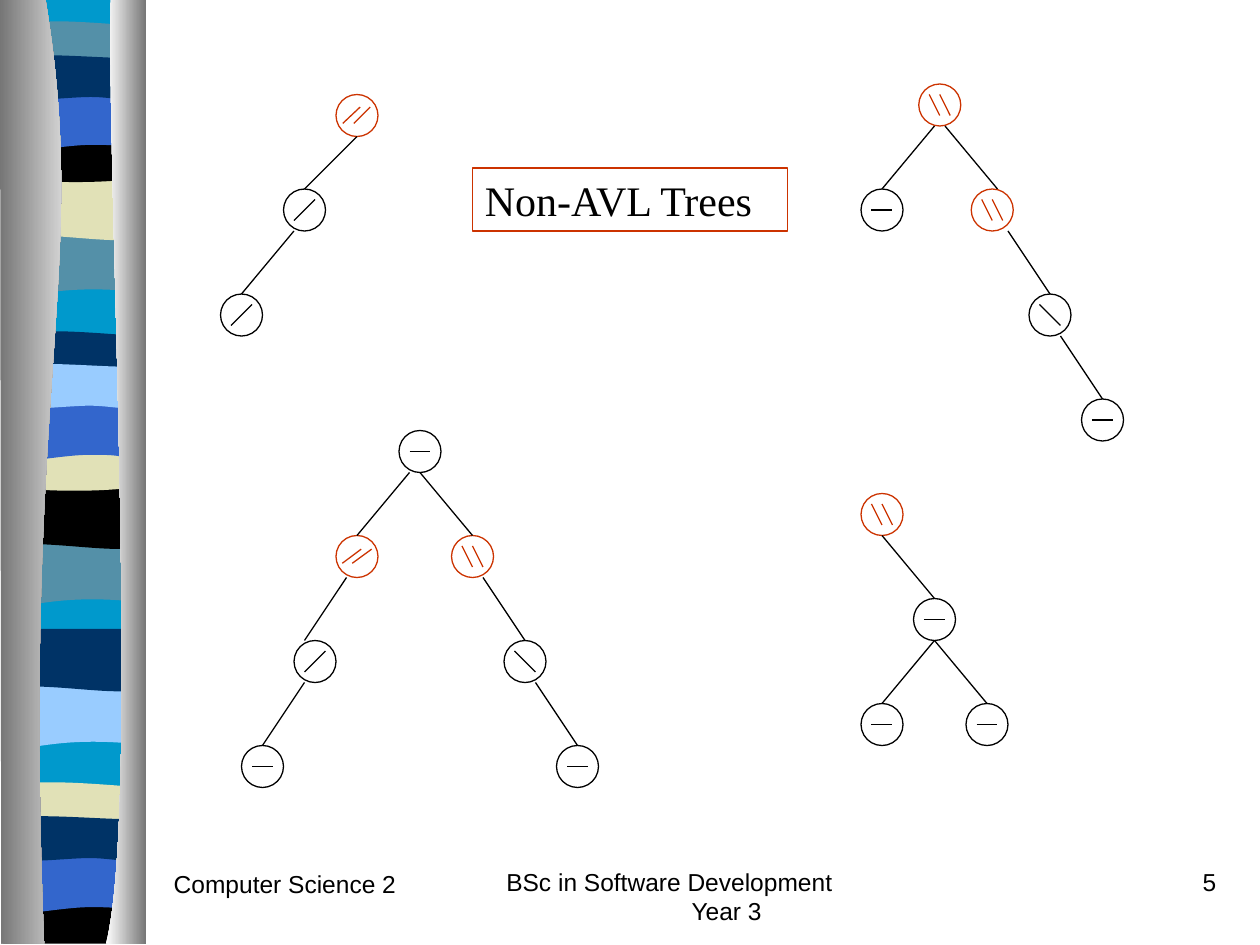
from lxml import etree
from pptx import Presentation
from pptx.dml.color import RGBColor
from pptx.enum import shapes, text
from pptx.oxml import ns
from pptx.util import Inches, Pt

COLOURS = {
    "black": "000000", "red": "CC3300", "cyan": "0099CC", "teal": "5490A8",
    "sand": "E1E1B7", "blue": "3366CC", "navy": "003366", "sky": "99CCFF",
    "grey": "767676", "white": "FFFFFF",
}
GRID = 1 / 24
NODE = 8
WIDTH = 1.08

BAND_SHAPES = {
    "block": [(WIDTH, 0), (WIDTH, 7.48), (0, 7.48), (0, 0)],
    "slant": [(WIDTH, 0), (WIDTH, 0.47), (0.33, 0.39, 0.18, 0.55, 0, 0.47), (0, 0)],
    "swell": [(WIDTH, 0), (WIDTH, 0.47), (0.9, 0.55, 0.33, 0.42, 0, 0.47), (0, 0)],
    "lens": [(WIDTH, 0), (WIDTH, 0.24), (0.9, 0.28, 0.18, 0.28, 0, 0.24), (0, 0),
             (0.07, -0.05, 0.23, -0.04, 0.41, -0.04), (0.59, -0.04, 0.94, -0.01, WIDTH, 0)],
    "dip": [(WIDTH, 0), (WIDTH, 0.32), (0.9, 0.38, 0.18, 0.38, 0, 0.32), (0, 0),
            (0.66, 0.05, 0.85, 0, WIDTH, 0)],
    "arch": [(WIDTH, 0), (WIDTH, 0.47), (0.91, 0.41, 0.84, 0.41, 0.66, 0.41),
             (0.48, 0.41, 0.16, 0.47, 0, 0.47), (0, 0)],
    "ripple": [(WIDTH, 0), (WIDTH, 0.31), (1.01, 0.36, 0.84, 0.31, 0.66, 0.31),
               (0.48, 0.31, 0.11, 0.36, 0, 0.31), (0, 0),
               (0.15, -0.05, 0.73, 0, 0.91, 0), (1.09, 0, 1.04, 0, WIDTH, 0)],
    "foot": [(WIDTH, 0), (WIDTH, 0.37), (0, 0.37), (0, 0), (0.66, 0.05, 0.85, 0, WIDTH, 0)],
}
BANDS = [
    ("block", 0.06, 0, "cyan"),
    ("slant", 0.06, 1.86, "teal"), ("swell", 0.06, 1.42, "sand"),
    ("lens", 0.06, 0.22, "teal"), ("dip", 0.06, 1.09, "black"),
    ("arch", 0.06, 0.75, "blue"), ("ripple", 0.06, 0.47, "navy"),
    ("slant", 0.05, 4.32, "teal"), ("swell", 0.05, 3.87, "black"),
    ("lens", 0.05, 2.68, "navy"), ("dip", 0.05, 3.54, "sand"),
    ("arch", 0.05, 3.21, "blue"), ("ripple", 0.05, 2.92, "sky"),
    ("slant", 0.06, 5.45, "sky"), ("swell", 0.06, 5, "navy"),
    ("lens", 0.05, 6.26, "sand"), ("foot", 0.05, 7.13, "black"),
    ("arch", 0.05, 6.8, "blue"), ("ripple", 0.05, 6.51, "navy"),
]
SILVER_EDGES = [
    ([(0.36, 0), (0.72, 2.17, 0.17, 2.97, 0.35, 7.5), (0.01, 7.5), (0, 0)], ("grey", "white")),
    ([(0.88, 0), (0.84, 1.26, 1.12, 6.47, 0.84, 7.5), (1.16, 7.5), (1.16, 0)], ("white", "grey")),
]

MARKS = {
    "flat": [(2, 4, 6, 4)],
    "rise": [(6, 2, 2, 6)],
    "fall": [(2, 2, 6, 6)],
    "double fall": [(4, 2, 6, 6), (2, 2, 4, 6)],
    "double rise": [(3.4, 5.5, 6.5, 2.4), (1.3, 5.5, 4.6, 2.4)],
    "double low rise": [(3.1, 5.3, 6.8, 2.6), (1.2, 5.3, 4.8, 2.6)],
}
TREES = [
    {"at": (164, 16),
     "nodes": [(11, 0, "double fall"), (0, 20, "flat"), (21, 20, "double fall"),
               (32, 40, "fall"), (42, 60, "flat")],
     "edges": [(0, 1, -1, 0), (0, 2, 1, 1), (2, 3, 3, 0), (3, 4, 2, 0)]},
    {"at": (164, 94),
     "nodes": [(0, 0, "double fall"), (10, 20, "flat"), (0, 40, "flat"), (20, 40, "flat")],
     "edges": [(0, 1, 0, 0), (1, 2, 0, 0), (1, 3, 0, 0)]},
    {"at": (42, 18),
     "nodes": [(22, 0, "double rise"), (12, 18, "rise"), (0, 38, "rise")],
     "edges": [(0, 1, 0, 0), (1, 2, -2, 0)]},
    {"at": (46, 82),
     "nodes": [(30, 0, "flat"), (18, 20, "double low rise"), (40, 20, "double fall"),
               (10, 40, "rise"), (50, 40, "fall"), (0, 60, "flat"), (60, 60, "flat")],
     "edges": [(0, 1, -2, 0), (0, 2, 0, 0), (1, 3, -2, -2), (2, 4, 2, 0),
               (3, 5, -2, 0), (4, 6, 2, 0)]},
]


def rgb(name):
    return RGBColor.from_string(COLOURS[name])


def bend(shape, outline):
    segments = iter(shape._element.findall(".//" + ns.qn("a:lnTo")))
    for part in outline[1:]:
        segment = next(segments)
        if len(part) == 6:
            segment.tag = ns.qn("a:cubicBezTo")
            for extra in (next(segments), next(segments)):
                segment.append(extra[0])
                extra.getparent().remove(extra)


def add_outline(slide, outline, left, top):
    points = [(Inches(left + part[i]), Inches(top + part[i + 1]))
              for part in outline for i in range(0, len(part), 2)]
    builder = slide.shapes.build_freeform(*points[0])
    builder.add_line_segments(points[1:], close=True)
    shape = builder.convert_to_shape()
    bend(shape, outline)
    shape.shadow.inherit = False
    shape.line.fill.background()
    return shape


def add_ribbon(slide, left, top):
    for kind, x, y, colour in BANDS:
        shape = add_outline(slide, BAND_SHAPES[kind], left + x, top + y)
        shape.fill.solid()
        shape.fill.fore_color.rgb = rgb(colour)
    for outline, colours in SILVER_EDGES:
        shape = add_outline(slide, outline, left, top)
        shape.fill.gradient()
        shape.fill.gradient_angle = 0
        for stop, colour, position in zip(shape.fill.gradient_stops, colours, (0, 1)):
            stop.color.rgb = rgb(colour)
            stop.position = position


def add_line(slide, start, end, colour="black"):
    connector = slide.shapes.add_connector(
        shapes.MSO_CONNECTOR.STRAIGHT, *[Inches(value * GRID) for value in (*start, *end)])
    connector.line.color.rgb = rgb(colour)
    connector.line.width = Pt(0.75)
    etree.SubElement(connector._element.spPr, ns.qn("a:effectLst"))


def add_outlined(slide, kind, left, top, width, height, colour):
    box = [Inches(value * GRID) for value in (left, top, width, height)]
    shape = slide.shapes.add_shape(kind, *box)
    shape.shadow.inherit = False
    shape.fill.background()
    shape.line.color.rgb = rgb(colour)
    shape.line.width = Pt(0.75)
    return shape


def add_node(slide, left, top, mark):
    colour = "red" if mark.startswith("double") else "black"
    add_outlined(slide, shapes.MSO_SHAPE.OVAL, left, top, NODE, NODE, colour)
    for x1, y1, x2, y2 in MARKS[mark]:
        add_line(slide, (left + x1, top + y1), (left + x2, top + y2), colour)


def add_tree(slide, left, top, nodes, edges):
    for x, y, mark in nodes:
        add_node(slide, left + x, top + y, mark)
    for parent, child, start_shift, end_shift in edges:
        (x1, y1, _), (x2, y2, _) = nodes[parent], nodes[child]
        add_line(slide, (left + x1 + NODE / 2 + start_shift, top + y1 + NODE),
                 (left + x2 + NODE / 2 + end_shift, top + y2))


def write(shape, words, size=14, font="Arial", align=text.PP_ALIGN.LEFT, hanging=0):
    frame = shape.text_frame
    frame.word_wrap = True
    frame.vertical_anchor = text.MSO_ANCHOR.TOP
    paragraph = frame.paragraphs[0]
    paragraph.alignment = align
    if hanging:
        properties = paragraph._p.get_or_add_pPr()
        properties.set("marL", str(Inches(hanging)))
        properties.set("indent", str(-Inches(hanging)))
    run = paragraph.add_run()
    run.text = words
    run.font.size = Pt(size)
    run.font.name = font
    run.font.color.rgb = rgb("black")


def add_title(slide, left, top, width, height):
    box = add_outlined(slide, shapes.MSO_SHAPE.RECTANGLE, left, top, width, height, "red")
    write(box, "Non-AVL Trees", size=24, font="Times New Roman")


def add_footer(slide, left, top):
    for x, y, width, words, style in (
        (2.64, 0, 3.17, "BSc in Software Development Year 3", {"hanging": 1.47}),
        (6.39, 0, 2.08, "5", {"align": text.PP_ALIGN.RIGHT}),
        (0, 0.02, 2.08, "Computer Science 2", {}),
    ):
        box = slide.shapes.add_textbox(Inches(left + x), Inches(top + y), Inches(width), Inches(0.5))
        write(box, words, **style)


def main():
    presentation = Presentation()
    presentation.slide_width, presentation.slide_height = Inches(10), Inches(7.5)
    slide = presentation.slides.add_slide(presentation.slide_layouts[6])
    add_ribbon(slide, 0, -0.01)
    for tree in TREES:
        add_tree(slide, *tree["at"], tree["nodes"], tree["edges"])
    add_title(slide, 90, 32, 60, 12)
    add_footer(slide, 1.28, 6.83)
    presentation.save("out.pptx")


if __name__ == "__main__":
    main()
